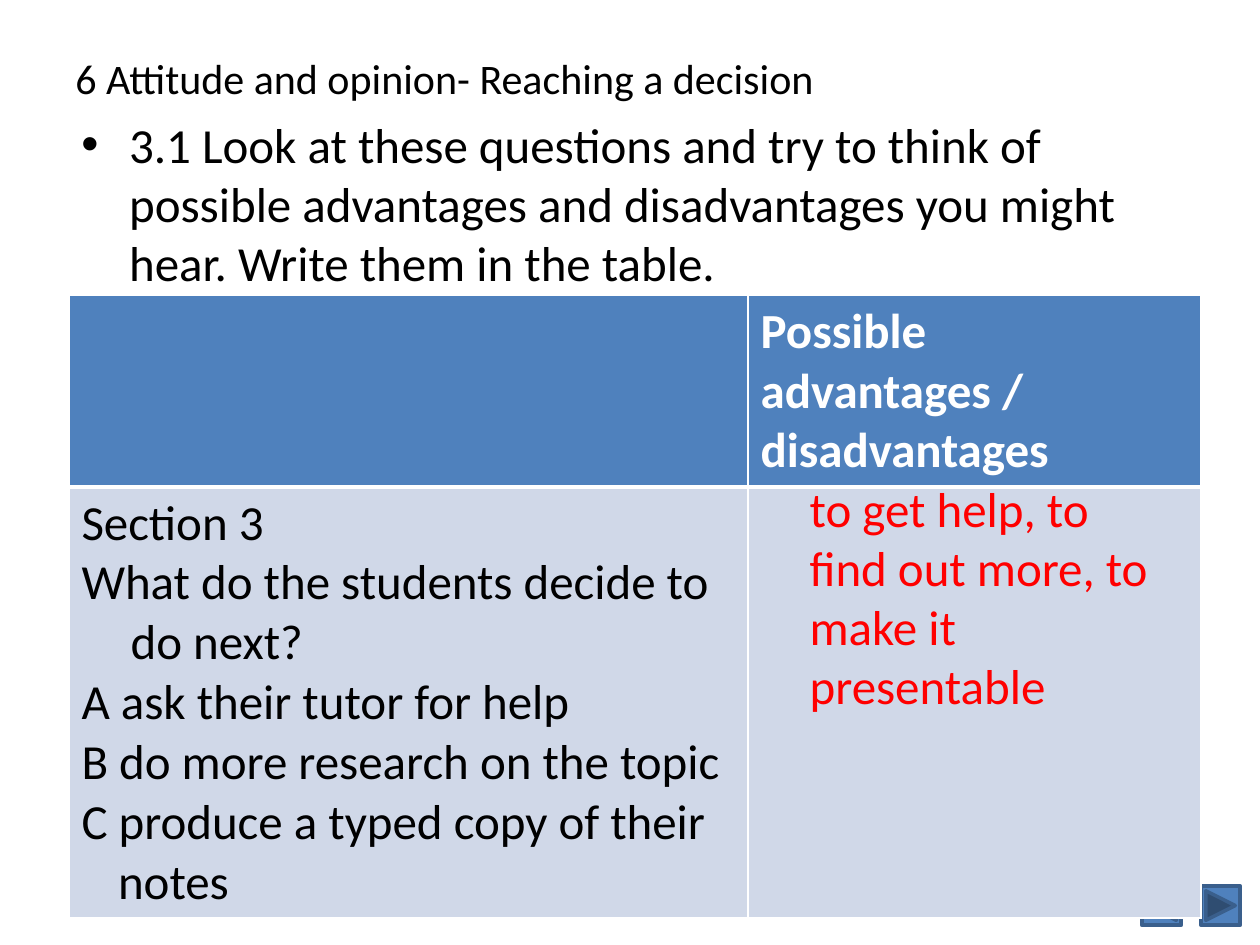
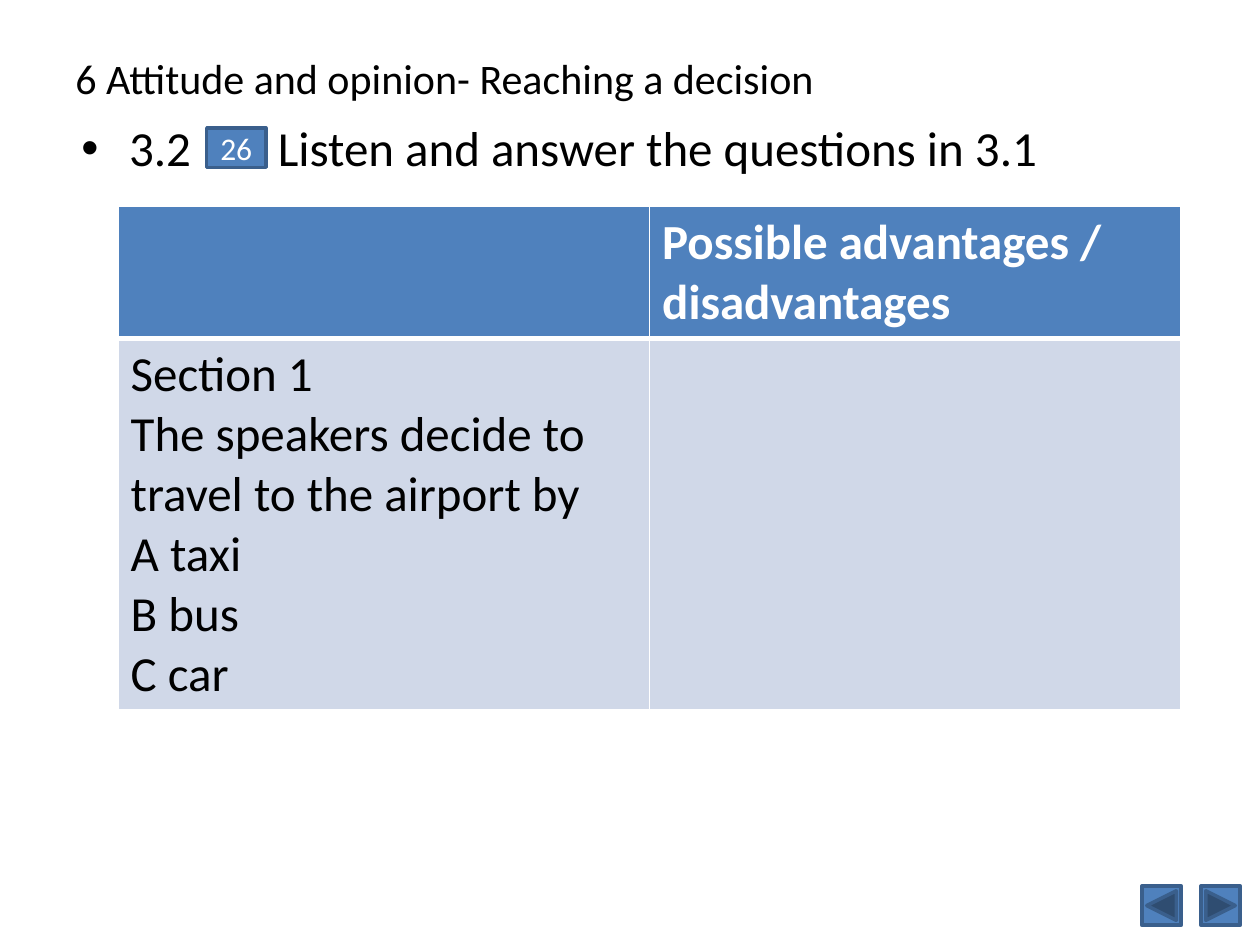
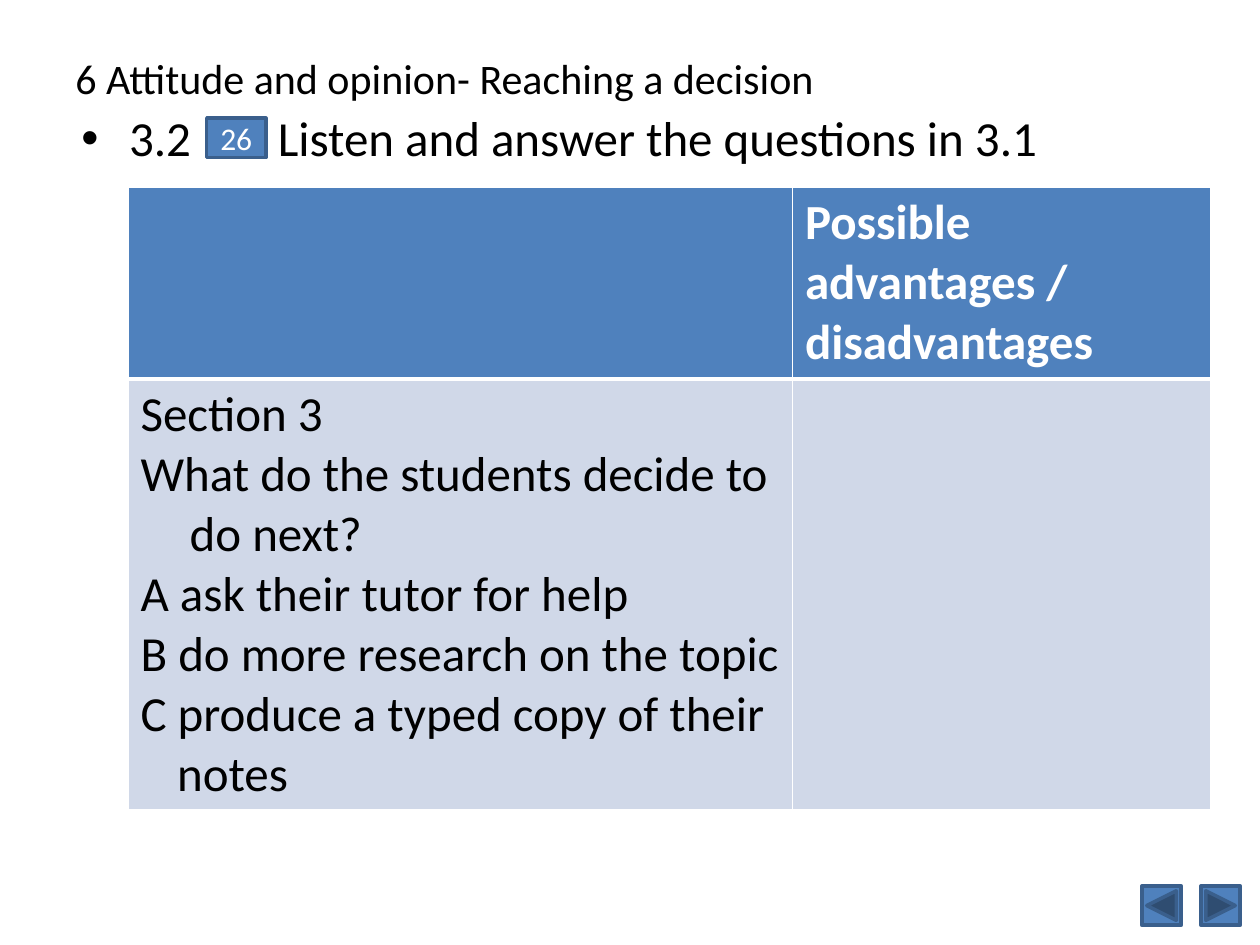
from lxml import etree
from pptx import Presentation
from pptx import util as u
from pptx.dml.color import RGBColor
from pptx.enum import shapes, text
from pptx.oxml.ns import qn

COLORS = {"ink": "000000", "paper": "FFFFFF", "accent": "4F81BD",
          "outline": "3A5F8C", "cell": "D0D8E8", "answer": "FF0000"}
FONT = "Calibri"
TITLE = "6 Attitude and opinion- Reaching a decision"
HEADER = "Possible advantages / disadvantages"
LOOK = ("3.1 Look at these questions and try to think of possible advantages "
        "and disadvantages you might hear. Write them in the table.")
LISTEN = "3.2\tListen and answer the questions in 3.1"
TRACK = "26"
ANSWER = "to get help, to find out more, to make it presentable"
TRAVEL = [("Section 1", 0), ("The speakers decide to travel to the airport by", 0),
          ("A taxi", 0), ("B bus", 0), ("C car", 0)]
STUDENTS = [("Section 3", 0), ("What do the students decide to do next?", 0.39),
            ("A ask their tutor for help", 0), ("B do more research on the topic", 0.39),
            ("C produce a typed copy of their notes", 0.29)]

WIDTH, HEIGHT = u.Inches(10), u.Inches(7.5)
COLUMNS, ROWS = 128, 96
LINE_ROWS, PADDING_ROWS = 6.07, 1.28
BULLET_INDENT, TAB_POSITION = 0.38, 1.56


def grid(columns):
    return round(WIDTH * columns / COLUMNS)


def place(left, top, width, height):
    return [grid(length) for length in (left, top, width, height)]


def color(name):
    return RGBColor.from_string(COLORS[name])


def style(paragraph, size, name, bold=False):
    for run in paragraph.runs:
        run.font.name = FONT
        run.font.size = u.Pt(size)
        run.font.bold = bold
        run.font.color.rgb = color(name)


def hang(paragraph, inches):
    properties = paragraph._p.get_or_add_pPr()
    properties.set("marL", str(u.Inches(inches)))
    properties.set("indent", str(-u.Inches(inches)))
    return properties


def add_text(slide, box, words, size, name="ink", anchor=text.MSO_ANCHOR.TOP):
    frame = slide.shapes.add_textbox(*place(*box)).text_frame
    frame.word_wrap = True
    frame.vertical_anchor = anchor
    frame.text = words
    style(frame.paragraphs[0], size, name)
    return frame.paragraphs[0]


def add_prompt(slide, box, words):
    paragraph = add_text(slide, box, words, 28)
    properties = hang(paragraph, BULLET_INDENT)
    etree.SubElement(properties, qn("a:buFont"), typeface="Arial")
    etree.SubElement(properties, qn("a:buChar"), char="•")
    return paragraph


def add_button(slide, kind, box):
    button = slide.shapes.add_shape(kind, *place(*box))
    button.shadow.inherit = False
    button.fill.solid()
    button.fill.fore_color.rgb = color("accent")
    button.line.color.rgb = color("outline")
    button.line.width = u.Pt(2)
    return button


def add_listening_prompt(slide, top):
    paragraph = add_prompt(slide, (7, top, 104, 7), LISTEN)
    paragraph.line_spacing = 0.9
    tabs = etree.SubElement(paragraph._p.pPr, qn("a:tabLst"))
    etree.SubElement(tabs, qn("a:tab"), pos=str(u.Inches(TAB_POSITION)), algn="l")
    button = add_button(slide, shapes.MSO_SHAPE.ACTION_BUTTON_CUSTOM, (21, top + 1, 6, 4))
    frame = button.text_frame
    frame.margin_left = frame.margin_right = frame.margin_top = frame.margin_bottom = 0
    frame.vertical_anchor = text.MSO_ANCHOR.MIDDLE
    frame.text = TRACK
    frame.paragraphs[0].alignment = text.PP_ALIGN.CENTER
    style(frame.paragraphs[0], 18, "paper")


def format_cell(cell, fill, top, bottom):
    properties = cell._tc.get_or_add_tcPr()
    for side, points in (("L", 1), ("R", 1), ("T", top), ("B", bottom)):
        border = etree.SubElement(properties, qn(f"a:ln{side}"), w=str(u.Pt(points)))
        solid = etree.SubElement(border, qn("a:solidFill"))
        etree.SubElement(solid, qn("a:srgbClr"), val=COLORS["paper"])
    cell.fill.solid()
    cell.fill.fore_color.rgb = color(fill)


def add_question_table(slide, left, top, widths, lines, questions):
    heights = [count * LINE_ROWS + PADDING_ROWS for count in lines]
    box = place(left, top, sum(widths), sum(heights))
    table = slide.shapes.add_table(2, 2, *box).table
    table.horz_banding = False
    for column, width in zip(table.columns, widths):
        column.width = grid(width)
    for row, height in zip(table.rows, heights):
        row.height = grid(height)
    for row, look in zip(table.rows, (("accent", 1, 3), ("cell", 3, 1))):
        for cell in row.cells:
            format_cell(cell, *look)
    header = table.cell(0, 1).text_frame
    header.text = HEADER
    style(header.paragraphs[0], 28, "paper", True)
    frame = table.cell(1, 0).text_frame
    frame.text = "\n".join(words for words, _ in questions)
    for paragraph, (_, indent) in zip(frame.paragraphs, questions):
        hang(paragraph, indent)
        style(paragraph, 28, "ink")


def start_slide(presentation):
    slide = presentation.slides.add_slide(presentation.slide_layouts[6])
    add_text(slide, (6.4, 3.8, 115.2, 8.2), TITLE, 24, anchor=text.MSO_ANCHOR.MIDDLE)
    kinds = (shapes.MSO_SHAPE.ACTION_BUTTON_BACK_OR_PREVIOUS,
             shapes.MSO_SHAPE.ACTION_BUTTON_FORWARD_OR_NEXT)
    for index, kind in enumerate(kinds):
        add_button(slide, kind, (116 + 6 * index, 90, 4, 4))
    return slide


def add_discussion_slide(presentation):
    slide = start_slide(presentation)
    add_prompt(slide, (7, 11, 115, 20), LOOK)
    add_question_table(slide, 7, 30, (69, 46), (3, 7), STUDENTS)
    add_text(slide, (81, 48, 37, 25.5), ANSWER, 28, "answer")


def add_listening_slide(presentation, prompt_top, *table):
    slide = start_slide(presentation)
    add_question_table(slide, *table)
    add_listening_prompt(slide, prompt_top)


def main():
    presentation = Presentation()
    presentation.slide_width, presentation.slide_height = WIDTH, HEIGHT
    add_discussion_slide(presentation)
    add_listening_slide(presentation, 12, 12, 21, (54, 54), (2, 6), TRAVEL)
    add_listening_slide(presentation, 11, 13, 19, (67.5, 42.5), (3, 7), STUDENTS)
    presentation.save("out.pptx")


if __name__ == "__main__":
    main()
